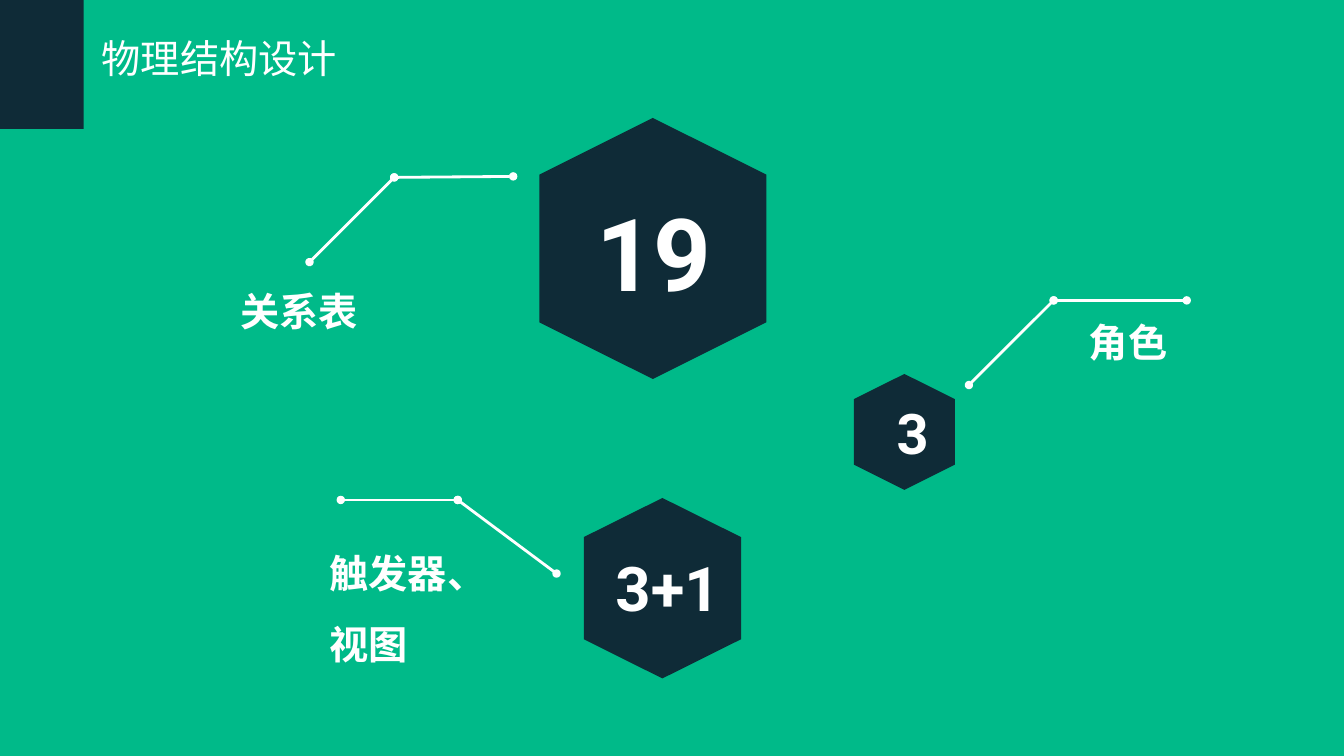
"""Build the physical structure design slide with hexagon figures and callouts."""
from dataclasses import dataclass
from itertools import pairwise

from lxml.etree import SubElement
from pptx import Presentation
from pptx.dml.color import RGBColor
from pptx.enum.shapes import MSO_CONNECTOR, MSO_SHAPE
from pptx.enum.text import MSO_ANCHOR, MSO_AUTO_SIZE, PP_ALIGN
from pptx.oxml.ns import qn
from pptx.util import Inches, Pt


@dataclass(frozen=True)
class Theme:
    """Colours, fonts and sizes of the slide."""
    background: RGBColor = RGBColor(0x00, 0xBA, 0x89)
    dark: RGBColor = RGBColor(0x0F, 0x2B, 0x37)
    light: RGBColor = RGBColor(0xFF, 0xFF, 0xFF)
    label_font: str = "Noto Sans CJK SC"
    number_font: str = "Roboto"
    label_size: int = 28
    small_number: int = 40
    medium_number: int = 44
    large_number: int = 72
    line_width: int = 2


THEME = Theme()
SHOULDER = 0.217


def paint(shape):
    """Give a shape the flat dark fill."""
    shape.shadow.inherit = False
    shape.fill.solid()
    shape.fill.fore_color.rgb = THEME.dark
    shape.line.fill.background()


def add_hexagon(slide, left, top, width, height):
    """Draw an upright hexagon with its points at top and bottom."""
    middle, right, bottom = left + width / 2, left + width, top + height
    upper, lower = top + SHOULDER * height, bottom - SHOULDER * height
    corners = [(middle, top), (right, upper), (right, lower),
               (middle, bottom), (left, lower), (left, upper)]
    points = [(Inches(x), Inches(y)) for x, y in corners]
    builder = slide.shapes.build_freeform(*points[0])
    builder.add_line_segments(points[1:], close=True)
    paint(builder.convert_to_shape())


def add_callout(slide, *points):
    """Join the points by lines with a dot at every point."""
    for start, end in pairwise(points):
        ends = [Inches(value) for value in (*start, *end)]
        connector = slide.shapes.add_connector(MSO_CONNECTOR.STRAIGHT, *ends)
        connector.line.width = Pt(THEME.line_width)
        connector.line.color.rgb = THEME.light
        line = connector.line._get_or_add_ln()
        for tag in ("a:headEnd", "a:tailEnd"):
            SubElement(line, qn(tag), type="oval")
        SubElement(connector._element.spPr, qn("a:effectLst"))


def write_text(shape, lines, font_name, size, bold=True,
               align=PP_ALIGN.LEFT, spacing=None, wrap=True):
    """Fill a text shape with one formatted paragraph for each line."""
    frame = shape.text_frame
    frame.auto_size = MSO_AUTO_SIZE.NONE
    frame.word_wrap = wrap
    frame.vertical_anchor = MSO_ANCHOR.TOP
    frame.margin_left = frame.margin_right = Inches(0.05)
    frame.margin_top = frame.margin_bottom = Inches(0.05)
    for index, line in enumerate(lines):
        paragraph = frame.add_paragraph() if index else frame.paragraphs[0]
        paragraph.alignment = align
        paragraph.line_spacing = spacing
        run = paragraph.add_run()
        run.text = line
        run.font.size = Pt(size)
        run.font.bold = bold
        run.font.color.rgb = THEME.light
        run.font.name = font_name
        SubElement(run.font._element, qn("a:ea"), typeface=font_name)


def add_label(slide, box, *lines, **options):
    """Add a bold label in a text box."""
    shape = slide.shapes.add_textbox(*map(Inches, box))
    write_text(shape, lines, THEME.label_font, THEME.label_size, **options)


def add_number(slide, box, number, size):
    """Add a right-aligned figure in a text box."""
    shape = slide.shapes.add_textbox(*map(Inches, box))
    write_text(shape, [number], THEME.number_font, size, align=PP_ALIGN.RIGHT)


def add_title(slide, title):
    """Place the title beside the dark corner block."""
    block = slide.shapes.add_shape(
        MSO_SHAPE.RECTANGLE, 0, 0, Inches(0.83), Inches(1.28))
    paint(block)
    shape = slide.shapes.title
    shape.left, shape.top = Inches(0.96), Inches(0.29)
    shape.width, shape.height = Inches(3.57), Inches(0.66)
    write_text(shape, [title], THEME.label_font, THEME.label_size, bold=False)


def main():
    """Build and save the slide."""
    presentation = Presentation()
    presentation.slide_width = Inches(13.33)
    presentation.slide_height = Inches(7.5)
    slide = presentation.slides.add_slide(presentation.slide_layouts[5])
    slide.background.fill.solid()
    slide.background.fill.fore_color.rgb = THEME.background
    add_title(slide, "物理结构设计")

    add_hexagon(slide, 5.35, 1.17, 2.25, 2.59)
    add_number(slide, (5.79, 1.84, 1.32, 1.29), "19", THEME.large_number)
    add_callout(slide, (3.07, 2.6), (3.91, 1.76), (5.09, 1.75))
    add_label(slide, (2.32, 2.8, 1.28, 0.66), "关系表",
              align=PP_ALIGN.RIGHT, wrap=False)

    add_hexagon(slide, 8.47, 3.71, 1, 1.15)
    add_number(slide, (8.67, 3.9, 0.59, 0.77), "3", THEME.small_number)
    add_callout(slide, (9.61, 3.82), (10.45, 2.98), (11.77, 2.98))
    add_label(slide, (10.75, 3.11, 0.89, 0.66), "角色", wrap=False)

    add_hexagon(slide, 5.79, 4.94, 1.56, 1.79)
    add_number(slide, (5.87, 5.41, 1.32, 0.84), "3+1", THEME.medium_number)
    add_callout(slide, (3.38, 4.96), (4.54, 4.96), (5.52, 5.69))
    add_label(slide, (3.22, 5.17, 2.17, 1.49), "触发器、", "视图", spacing=1.5)

    presentation.save("out.pptx")


if __name__ == "__main__":
    main()
